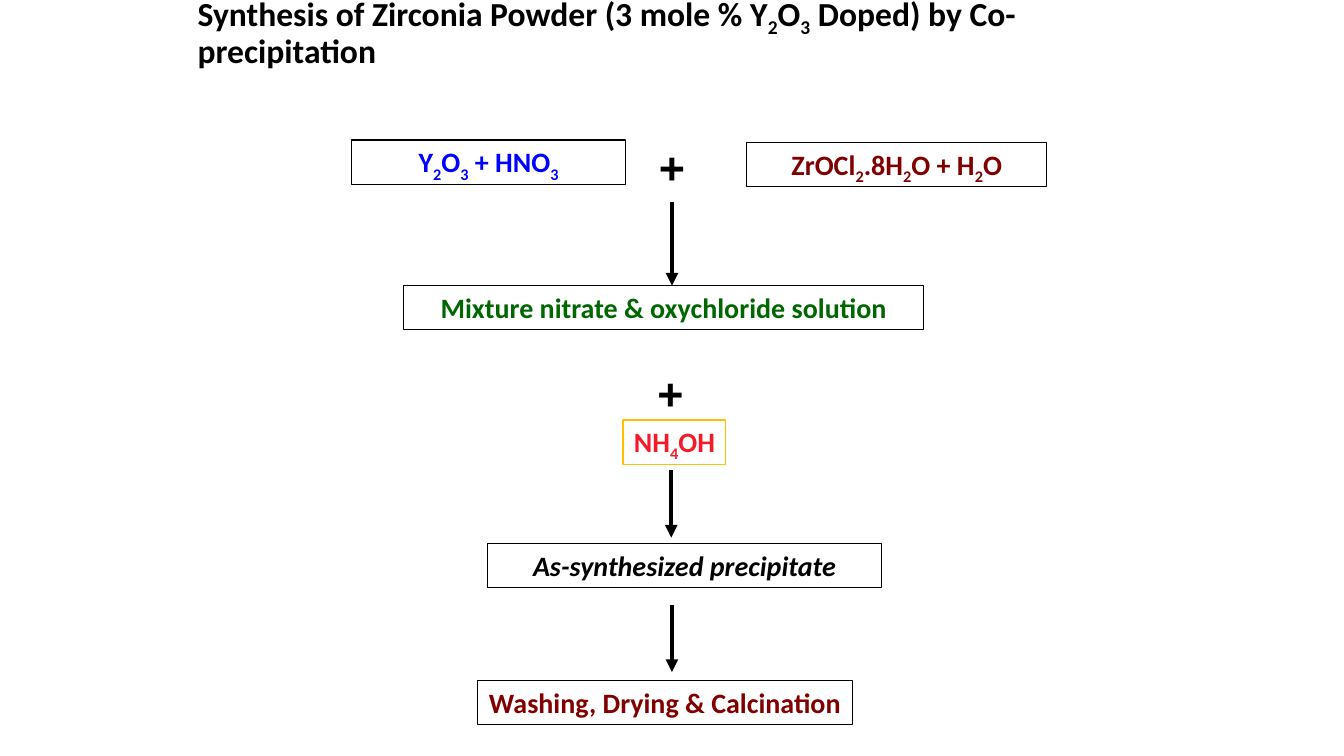
"""Build the zirconia co-precipitation flow slide."""
from dataclasses import dataclass

from lxml.etree import SubElement
from pptx import Presentation
from pptx.dml.color import RGBColor
from pptx.enum.shapes import MSO_CONNECTOR as Connector, MSO_SHAPE as Preset
from pptx.enum.text import MSO_ANCHOR as Anchor, MSO_AUTO_SIZE as AutoSize, PP_ALIGN as Align
from pptx.oxml.ns import qn
from pptx.slide import Slide
from pptx.text.text import TextFrame
from pptx.util import Pt

BLACK = RGBColor(0x00, 0x00, 0x00)
MAROON = RGBColor(0x80, 0x00, 0x00)
GREEN = RGBColor(0x00, 0x66, 0x00)
BLUE = RGBColor(0x00, 0x00, 0xFF)
RED = RGBColor(0xF3, 0x1B, 0x2A)
GOLD = RGBColor(0xFF, 0xC0, 0x00)

STEP_HEIGHT = 31.5
PLUS_WIDTH, PLUS_HEIGHT = 84, 45.5
SUBSCRIPT_MARK = "|"


@dataclass(frozen=True)
class Step:
    """A framed stage; text between bars is subscript."""
    text: str
    left: float
    top: float
    width: float
    color: RGBColor
    border: RGBColor = BLACK
    italic: bool = False
    wrap: bool = True


@dataclass(frozen=True)
class Plus:
    """A plus sign between reagents."""
    left: float
    top: float


@dataclass(frozen=True)
class Arrow:
    """A downward arrow."""
    x: float
    top: float
    bottom: float


STEPS = (
    Step("ZrOCl|2|.8H|2|O + H|2|O", 533.5, 102, 214, MAROON),
    Step("Mixture nitrate & oxychloride solution", 288, 204, 372, GREEN),
    Step("Y|2|O|3| + HNO|3|", 251, 100, 196, BLUE),
    Step("NH|4|OH", 445, 300, 73.5, RED, border=GOLD, wrap=False),
    Step("As-synthesized precipitate", 348, 388, 282, BLACK, italic=True),
    Step("Washing, Drying & Calcination", 341, 486, 268, MAROON, wrap=False),
)
PLUSES = (Plus(438, 96), Plus(437, 258))
ARROWS = (Arrow(480, 144, 204), Arrow(479.5, 336, 384), Arrow(480, 432, 480))


def write(frame: TextFrame, text: str, size: float, color: RGBColor,
          align: Align = Align.CENTER, face: str = "Calibri", italic: bool = False) -> None:
    """Write one bold paragraph with its subscripts."""
    paragraph = frame.paragraphs[0]
    paragraph.alignment = align
    paragraph.space_before = Pt(0)
    font = paragraph.font
    font.name, font.size, font.bold, font.italic = face, Pt(size), True, italic
    font.color.rgb = color
    for index, part in enumerate(text.split(SUBSCRIPT_MARK)):
        if part:
            run = paragraph.add_run()
            run.text = part
            if index % 2:
                run._r.get_or_add_rPr().set("baseline", "-25000")


def add_title(slide: Slide) -> None:
    """Place the heading in the title placeholder."""
    heading = slide.shapes.title
    heading.left, heading.top, heading.width, heading.height = Pt(134), Pt(0.5), Pt(696), Pt(45)
    frame = heading.text_frame
    frame.auto_size = AutoSize.NONE
    frame.vertical_anchor = Anchor.MIDDLE
    write(frame, "Synthesis of Zirconia Powder (3 mole % Y|2|O|3| Doped) by Co-precipitation",
          24, BLACK, Align.LEFT)
    frame.paragraphs[0].line_spacing = 0.9


def add_step(slide: Slide, step: Step) -> None:
    """Draw a framed stage."""
    stage = slide.shapes.add_shape(Preset.RECTANGLE, Pt(step.left), Pt(step.top),
                                   Pt(step.width), Pt(STEP_HEIGHT))
    stage.shadow.inherit = False
    stage.fill.background()
    stage.line.color.rgb = step.border
    stage.line.width = Pt(0.75)
    frame = stage.text_frame
    frame.word_wrap = step.wrap
    frame.auto_size = AutoSize.SHAPE_TO_FIT_TEXT
    frame.vertical_anchor = Anchor.TOP
    write(frame, step.text, 20, step.color, italic=step.italic)


def add_plus(slide: Slide, plus: Plus) -> None:
    """Draw a plus sign."""
    sign = slide.shapes.add_textbox(Pt(plus.left), Pt(plus.top), Pt(PLUS_WIDTH), Pt(PLUS_HEIGHT))
    sign.text_frame.word_wrap = True
    sign.text_frame.auto_size = AutoSize.SHAPE_TO_FIT_TEXT
    write(sign.text_frame, "+", 32, BLACK, face="Arial")


def add_arrow(slide: Slide, arrow: Arrow) -> None:
    """Draw an arrow to the next stage."""
    link = slide.shapes.add_connector(Connector.STRAIGHT, Pt(arrow.x), Pt(arrow.top),
                                      Pt(arrow.x), Pt(arrow.bottom))
    link.line.color.rgb = BLACK
    link.line.width = Pt(3)
    SubElement(link.line._get_or_add_ln(), qn("a:tailEnd"), type="triangle")
    SubElement(link._element.spPr, qn("a:effectLst"))


def main() -> None:
    """Assemble and save the slide."""
    deck = Presentation()
    deck.slide_width, deck.slide_height = Pt(960), Pt(540)
    slide = deck.slides.add_slide(deck.slide_layouts[5])
    add_title(slide)
    for step in STEPS:
        add_step(slide, step)
    for plus in PLUSES:
        add_plus(slide, plus)
    for arrow in ARROWS:
        add_arrow(slide, arrow)
    deck.save("out.pptx")


if __name__ == "__main__":
    main()
